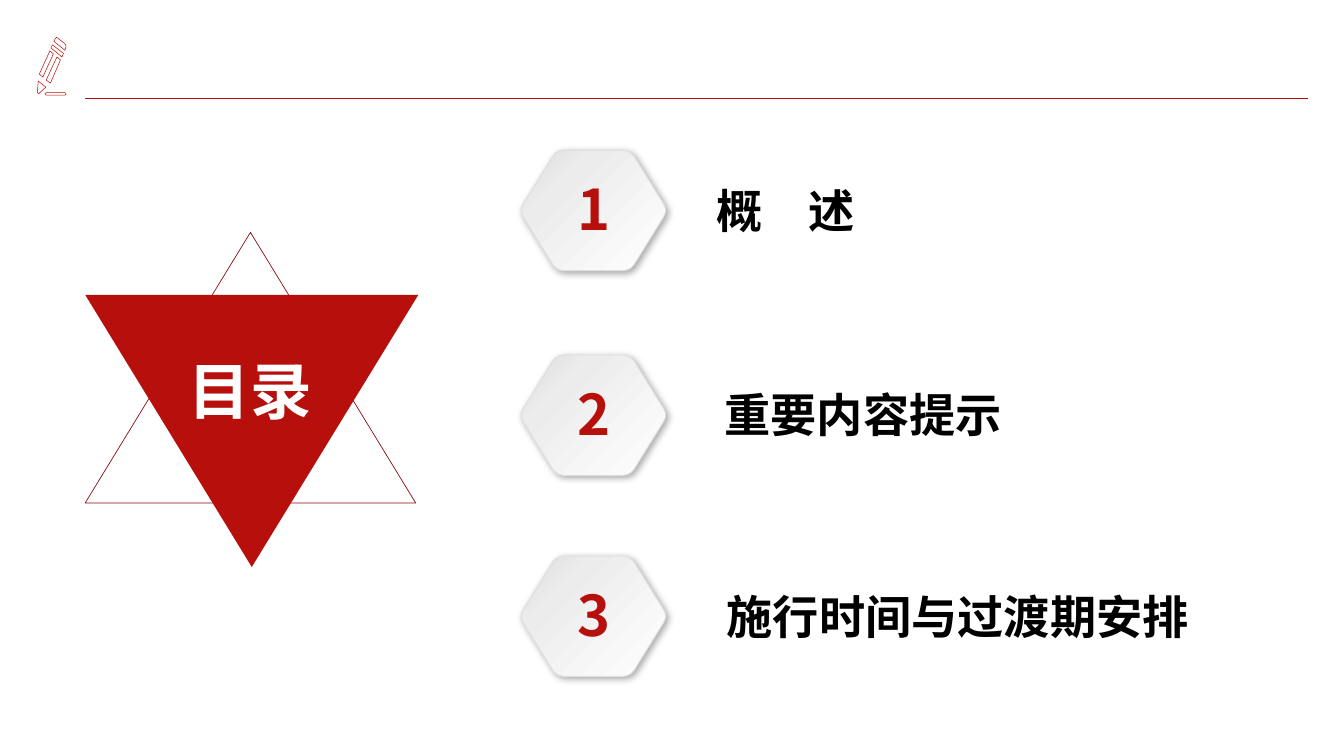
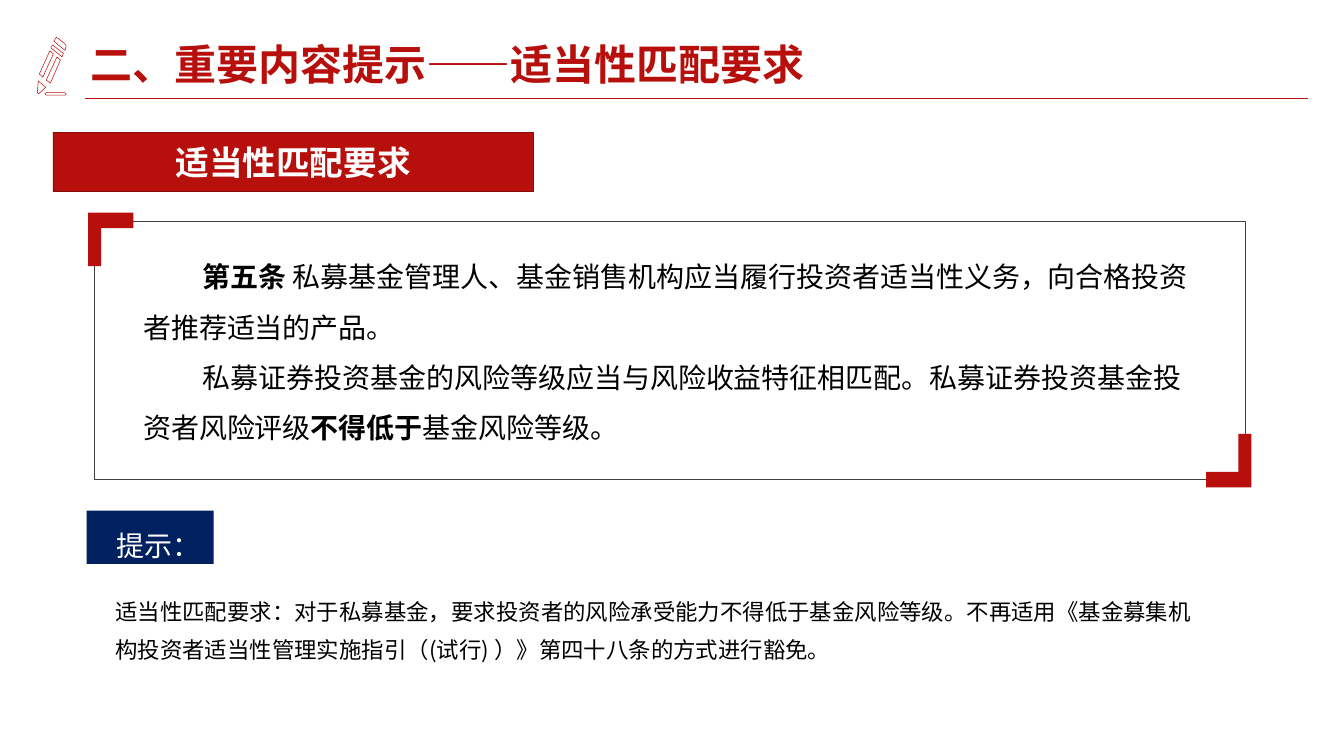
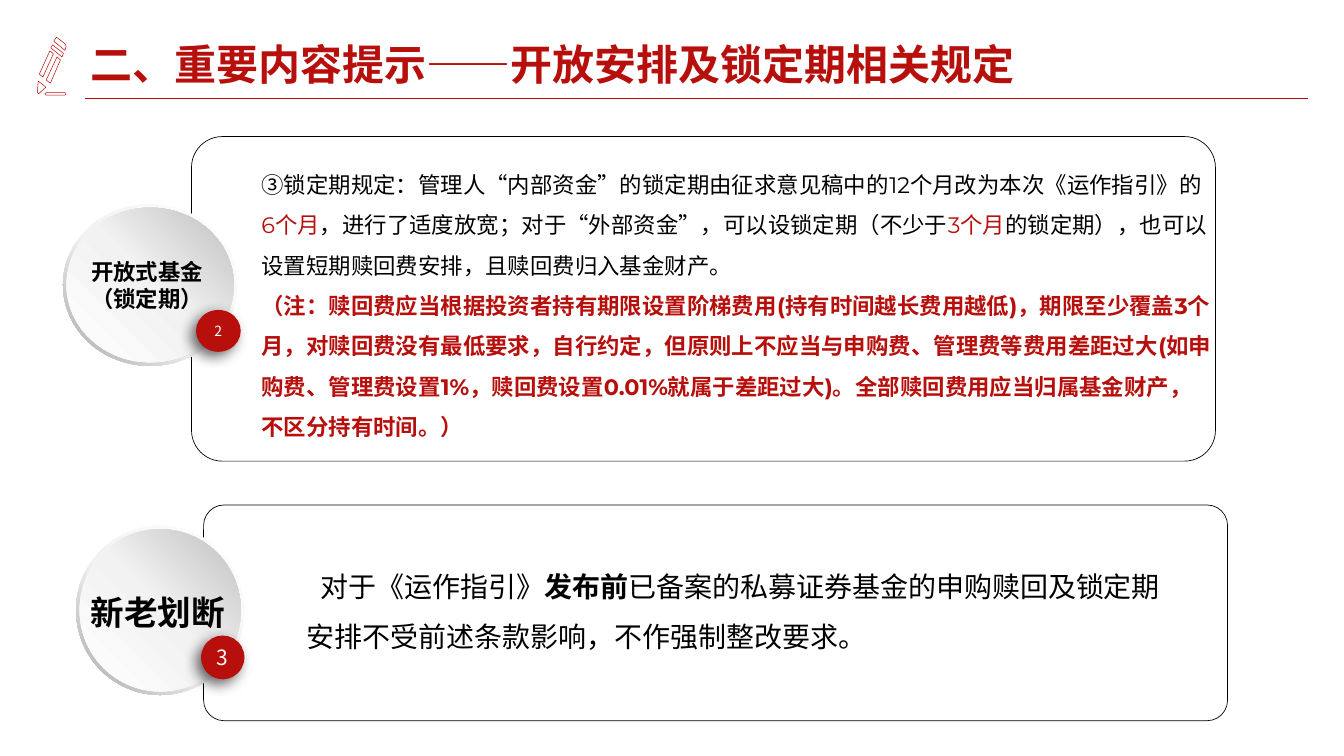
from copy import deepcopy
from lxml.etree import SubElement
from pptx import Presentation
from pptx.dml.color import RGBColor
from pptx.enum.shapes import MSO_CONNECTOR, MSO_SHAPE as Preset
from pptx.enum.text import MSO_ANCHOR as Anchor, MSO_AUTO_SIZE as AutoSize, PP_ALIGN as Align
from pptx.oxml.ns import qn
from pptx.util import Pt

COLOURS = {
    "red": "B70F0C", "dark red": "870B09", "navy": "002060", "white": "FFFFFF",
    "black": "000000", "charcoal": "404040", "edge": "E0E0E0",
    "pale": "ECECEC", "mist": "F2F2F2", "light": "D9D9D9", "silver": "BFBFBF", "grey": "A6A6A6",
}
RGB = {name: RGBColor.from_string(value) for name, value in COLOURS.items()}
CJK = "Noto Sans CJK SC"
LATIN = "Montserrat"
HEXAGON_FILL = ([(0, "white"), (0.73, "pale"), (1, "light")], 45)
RING_FILL = ([(0, "white"), (0.55, "mist"), (1, "grey")], 135)
DISC_FILL = ([(0, "white"), (0.51, "mist"), (1, "silver")], 315)
SOFT_SHADOW = (32, 10, 4, 45)
DEEP_SHADOW = (60, 20, 10, 135)
BOLD = {"bold": True}
RED = {"colour": "red"}
GROW = {"auto_size": AutoSize.SHAPE_TO_FIT_TEXT}
FLUSH = GROW | {"margin_left": 0, "margin_top": 0, "margin_right": 0, "margin_bottom": 0}
CENTRED = {"alignment": Align.CENTER}
LOOSE = {"alignment": Align.LEFT, "line_spacing": 1.5}


def style(shape, fill=None, line=None, width=1, shadow=None):
    shape.shadow.inherit = False
    if fill is None:
        shape.fill.background()
    elif isinstance(fill, str):
        shape.fill.solid()
        shape.fill.fore_color.rgb = RGB[fill]
    else:
        stops, angle = fill
        shape.fill.gradient()
        first = shape.element.spPr.find(".//" + qn("a:gs"))
        first.addnext(deepcopy(first))
        for stop, (position, colour) in zip(shape.fill.gradient_stops, stops):
            stop.position = position
            stop.color.rgb = RGB[colour]
        shape.fill.gradient_angle = 360 - angle
    if line:
        shape.line.color.rgb = RGB[line]
        shape.line.width = Pt(width)
    else:
        shape.line.fill.background()
    if shadow:
        alpha, blur, distance, angle = shadow
        outer = SubElement(shape.element.spPr.find(qn("a:effectLst")), qn("a:outerShdw"),
                           blurRad=str(Pt(blur)), dist=str(Pt(distance)),
                           dir=str(angle * 60000), algn="ctr", rotWithShape="0")
        tint = SubElement(outer, qn("a:srgbClr"), val=COLOURS["black"])
        SubElement(tint, qn("a:alpha"), val=str(alpha * 1000))


def write(shape, lines, size, colour="black", face=CJK, layout=CENTRED, body=GROW, indent=0):
    frame = shape.text_frame
    frame.word_wrap = True
    for key, value in body.items():
        setattr(frame, key, value)
    for index, spans in enumerate(lines):
        para = frame.add_paragraph() if index else frame.paragraphs[0]
        for key, value in layout.items():
            setattr(para, key, value)
        if indent:
            para._p.get_or_add_pPr().set("indent", str(Pt(indent)))
        for text, changes in spans:
            look = {"name": face, "size": Pt(size), "bold": False, "colour": colour} | changes
            span = para.add_run()
            span.text = text
            span.font.color.rgb = RGB[look.pop("colour")]
            for key, value in look.items():
                setattr(span.font, key, value)
            SubElement(span.font._element, qn("a:ea"), typeface=CJK)


deck = Presentation()
deck.slide_width, deck.slide_height = Pt(1920.24), Pt(1080)
title_only, blank = deck.slide_layouts[5], deck.slide_layouts[6]

page = deck.slides.add_slide(blank)
pencil_parts = [
    [(66, 132.5), (93, 132.5), (94.5, 134), (93, 136), (66, 136), (64.2, 134)],
    [(66, 114.5), (81.4, 81.4), (86.4, 85.7), (72, 118.8)],
    [(56.2, 105.8), (71.3, 72.7), (76.3, 77), (61.2, 110.2)],
    [(53.3, 132.5), (54.7, 115.9), (65.5, 124.6), (55.4, 133.9)],
    [(74.9, 64.1), (72.7, 68.4), (88.6, 81.4), (90.7, 76.3)],
    [(78.5, 56.2), (80.5, 53.5), (82.8, 54.7), (92.9, 62.6), (94.5, 66), (92.9, 72), (77, 59)],
]
builder = None
for part in pencil_parts:
    corners = [(Pt(x), Pt(y)) for x, y in part]
    if builder is None:
        builder = page.shapes.build_freeform(*corners[0])
    else:
        builder.move_to(*corners[0])
    builder.add_line_segments(corners[1:], close=True)
pencil = builder.convert_to_shape()
style(pencil, "white", "red", 0.75)
rule = page.shapes.add_connector(MSO_CONNECTOR.STRAIGHT, Pt(1869), Pt(140.4), Pt(121.7), Pt(140.4))
rule.line.color.rgb = RGB["red"]
rule.line.width = Pt(0.75)
SubElement(rule.element.spPr, qn("a:effectLst"))
for number, shared in enumerate((pencil, rule), 101):
    shared.element.find(".//" + qn("p:cNvPr")).set("id", str(number))
    deck.slide_master.shapes.element.append(shared.element)

outline = page.shapes.add_shape(Preset.ISOSCELES_TRIANGLE, Pt(121.7), Pt(332), Pt(472.3), Pt(386.6))
style(outline, None, "dark red")
solid = page.shapes.add_shape(Preset.ISOSCELES_TRIANGLE, Pt(121.7), Pt(421.2), Pt(476), Pt(388.8))
solid.rotation = 180
style(solid, "red")
contents = page.shapes.add_textbox(Pt(219.6), Pt(501), Pt(276.5), Pt(113.8))
write(contents, [[("目录", BOLD)]], 88, "white")

quadrant = [(42, -86), (48.3, -84.9), (53.8, -81.9), (58, -77.4), (100.4, -9), (103.3, -2)]
right_half = quadrant + [(x, -y) for x, y in reversed(quadrant)]
hexagon = [(Pt(x), Pt(y)) for x, y in right_half + [(-x, -y) for x, y in right_half]]
chapters = [
    ("概　述", 300.6, 1016.6, 640, Align.LEFT),
    ("重要内容提示", 593, 1028.2, 640, Align.LEFT),
    ("施行时间与过渡期安排", 880.2, 982.8, 771, Align.CENTER),
]
for number, (name, middle, left, width, alignment) in enumerate(chapters, 1):
    builder = page.shapes.build_freeform(*hexagon[0])
    builder.add_line_segments(hexagon[1:], close=True)
    tile = builder.convert_to_shape(Pt(847.8), Pt(middle))
    tile.rotation = 180
    style(tile, HEXAGON_FILL, "edge", 1.5, SOFT_SHADOW)
    label = page.shapes.add_textbox(Pt(left), Pt(middle - 44), Pt(width), Pt(87))
    write(label, [[(name, BOLD)]], 66, layout={"alignment": alignment})
    digit = page.shapes.add_textbox(Pt(784), Pt(middle - 55), Pt(128.2), Pt(104.4))
    write(digit, [[(str(number), BOLD)]], 80, "red")

pages = []
for topic in ("适当性匹配要求", "开放安排及锁定期相关规定"):
    page = deck.slides.add_slide(title_only)
    title = page.shapes.title
    title.left, title.top, title.width, title.height = map(Pt, (121.7, 50.4, 1656, 89.3))
    write(title, [[("二、重要内容提示——", BOLD), (topic, BOLD | {"name": LATIN})]], 60, "red",
          layout={"alignment": Align.LEFT, "line_spacing": 0.9},
          body={"vertical_anchor": Anchor.MIDDLE, "auto_size": AutoSize.NONE})
    pages.append(page)
matching, lockup = pages

banner = matching.shapes.add_shape(Preset.RECTANGLE, Pt(75.6), Pt(188.6), Pt(686.2), Pt(85))
style(banner, "red", "dark red")
write(banner, [[("适当性匹配要求", BOLD)]], 48, "white", "Arial", body={})
panel = matching.shapes.add_shape(Preset.ROUNDED_RECTANGLE, Pt(134.6), Pt(316), Pt(1644.5), Pt(368.6))
panel.adjustments[0] = 0
style(panel, None, "charcoal", 0.25)
article = matching.shapes.add_textbox(Pt(204.5), Pt(347), Pt(1511.3), Pt(290.9))
write(article, [
    [("第五条 ", BOLD),
     ("私募基金管理人、基金销售机构应当履行投资者适当性义务，向合格投资者推荐适当的产品。", {})],
    [("私募证券投资基金的风险等级应当与风险收益特征相匹配。私募证券投资基金投资者风险评级", {}),
     ("不得低于", BOLD), ("基金风险等级。", {})],
], 40, layout=LOOSE, body=FLUSH, indent=85)
bracket = [(Pt(x), Pt(y)) for x, y in
           [(0, 0), (64.6, 0), (64.6, 22.3), (18.6, 22.3), (18.6, 76.4), (0, 76.4)]]
for left, top, turn in ((126, 303.8, 0), (1723.4, 620, 180)):
    builder = matching.shapes.build_freeform(*bracket[0])
    builder.add_line_segments(bracket[1:], close=True)
    corner = builder.convert_to_shape(Pt(left), Pt(top))
    corner.rotation = turn
    style(corner, "red")
hint = matching.shapes.add_shape(Preset.RECTANGLE, Pt(123.8), Pt(729.4), Pt(181.4), Pt(76.3))
style(hint, "navy")
write(hint, [[("提示：", {})]], 40, "white", "Arial", LOOSE, {"margin_left": Pt(43), "margin_right": 0})
advice = matching.shapes.add_textbox(Pt(157.7), Pt(836.6), Pt(1579.7), Pt(109.4))
write(advice, [[("适当性匹配要求：对于私募基金，要求投资者的风险承受能力不得低于基金风险等级。"
                 "不再适用《基金募集机构投资者适当性管理实施指引（(试行) ）》第四十八条的方式进行豁免。", {})]],
      32, layout=LOOSE | {"line_spacing": 1.39})

for card_box in ((273.6, 195.1, 1463, 463.7), (290.9, 721.4, 1463, 308.2)):
    card = lockup.shapes.add_shape(Preset.ROUNDED_RECTANGLE, *map(Pt, card_box))
    card.adjustments[0] = 0.095
    style(card, None, "black")

medallions = [
    ("3", 30, (108.7, 751, 240.5, 241.9), (287.3, 907.9, 61.9, 62.6),
     ["新老划断"], 48, (109, 842.4, 232.6, 58.3)),
    ("2", 20, (90, 291.6, 249.1, 231.1), (280, 442.8, 64, 59.8),
     ["开放式基金", "（锁定期）"], 32, (90, 365, 240.5, 85)),
]
for digit, digit_size, ring_box, badge_box, names, name_size, name_box in medallions:
    left, top, width, height = ring_box
    ring = lockup.shapes.add_shape(Preset.DONUT, *map(Pt, ring_box))
    ring.adjustments[0] = 0.049
    style(ring, RING_FILL)
    disc = lockup.shapes.add_shape(Preset.OVAL, Pt(left + 5), Pt(top + 5), Pt(width - 10), Pt(height - 10))
    style(disc, DISC_FILL)
    badge = lockup.shapes.add_shape(Preset.OVAL, *map(Pt, badge_box))
    style(badge, "red", shadow=DEEP_SHADOW)
    write(badge, [[(digit, {})]], digit_size, "white", body={})
    label = lockup.shapes.add_textbox(*map(Pt, name_box))
    write(label, [[(name, BOLD)] for name in names], name_size)

transition = lockup.shapes.add_textbox(Pt(438.5), Pt(789), Pt(1230.5), Pt(137.5))
write(transition, [[
    ("对于《运作指引》", {}), ("发布前", BOLD),
    ("已备案的私募证券基金的申购赎回及锁定期安排不受前述条款影响，不作强制整改要求。", {}),
]], 40, face=LATIN, layout=LOOSE, body=FLUSH, indent=20)
terms = lockup.shapes.add_textbox(Pt(366.5), Pt(221.8), Pt(1373), Pt(408.2))
write(terms, [
    [("③锁定期规定：管理人“内部资金”的锁定期由征求意见稿中的12个月改为本次《运作指引》的", {}),
     ("6个月", RED),
     ("，进行了适度放宽；对于“外部资金”，可以设锁定期（不少于", {}),
     ("3个月", RED),
     ("的锁定期），也可以设置短期赎回费安排，且赎回费归入基金财产。", {})],
    [("（注：赎回费应当根据投资者持有期限设置阶梯费用(持有时间越长费用越低)，期限至少覆盖3个月，"
      "对赎回费没有最低要求，自行约定，但原则上不应当与申购费、管理费等费用差距过大"
      "(如申购费、管理费设置1%，赎回费设置0.01%就属于差距过大)。"
      "全部赎回费用应当归属基金财产，不区分持有时间。）", BOLD | RED)],
], 32, face=LATIN, layout=LOOSE)

deck.save("out.pptx")
